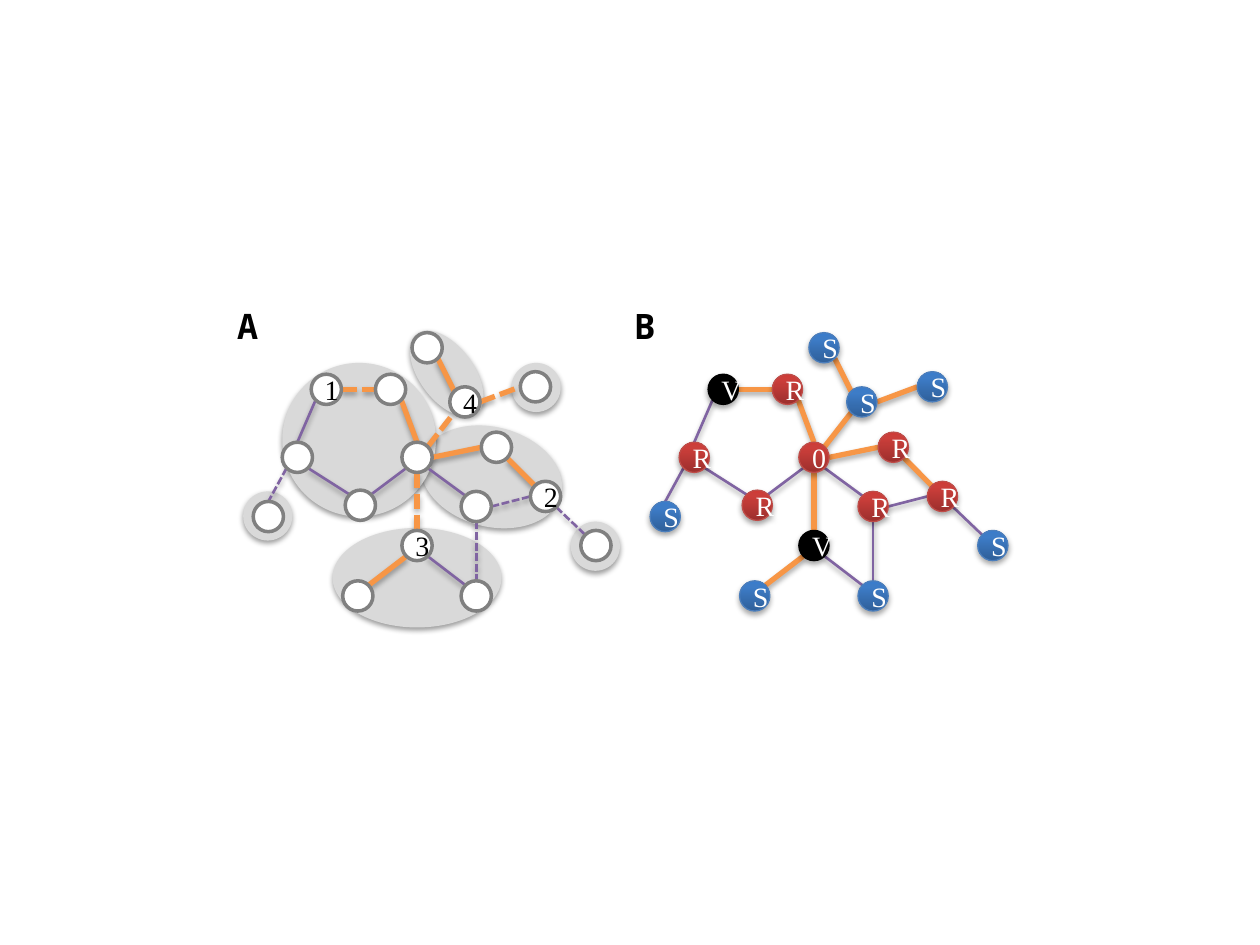
"""Builds a slide with a molecule-like graph shown as fragments (A) and as typed nodes (B)."""
from copy import deepcopy

from pptx import Presentation
from pptx.dml.color import RGBColor
from pptx.enum.dml import MSO_LINE
from pptx.enum.shapes import MSO_CONNECTOR, MSO_SHAPE
from pptx.enum.text import MSO_ANCHOR, MSO_AUTO_SIZE, PP_ALIGN
from pptx.oxml import parse_xml
from pptx.oxml.ns import nsdecls, qn
from pptx.util import Inches, Pt

COLORS = {
    "white": "FFFFFF", "black": "000000", "halo": "D9D9D9", "ring": "808080",
    "orange": "F79646", "purple": "8064A2", "blue": "4B7EBC", "red": "BF4C48",
    "blue low": "2F5F99", "blue mid": "3D7CC7", "blue high": "3A7CCB",
    "red low": "9C2F2D", "red mid": "CB3E3A", "red high": "CE3B37",
}
CELL = Inches(0.01)
RADIUS = 12
DIAGONAL = RADIUS * 0.71
PANEL_SHIFT = 315
COMPASS = {
    "N": (0, -RADIUS), "S": (0, RADIUS), "E": (RADIUS, 0), "W": (-RADIUS, 0),
    "NE": (DIAGONAL, -DIAGONAL), "NW": (-DIAGONAL, -DIAGONAL),
    "SE": (DIAGONAL, DIAGONAL), "SW": (-DIAGONAL, DIAGONAL),
}
TYPE_FILLS = {"S": "blue", "R": "red", "0": "red", "V": "black"}

HALOS = [
    (406, 288, 39, 39, 0), (315, 275, 79, 43, 53.3), (453, 414, 39, 39, 0),
    (193, 390, 39, 39, 0), (264, 419, 134, 79, 0), (333, 339, 114, 79, 14.6),
    (224, 288, 122, 122, 0),
]
NODES = {
    "branch end": (425, 307, "", "S"), "ring bottom": (286, 401, "", "R"),
    "branch top": (339, 276, "", "S"), "branch": (369, 319, "4", "S"),
    "left leaf": (213, 410, "", "S"), "ring left": (236, 363, "", "R"),
    "ring top": (259, 309, "1", "V"), "stem right": (378, 473, "", "S"),
    "stem": (331, 433, "3", "V"), "loop far": (433, 394, "2", "R"),
    "loop low": (378, 402, "", "R"), "loop high": (394, 355, "", "R"),
    "right leaf": (473, 433, "", "S"), "centre": (331, 363, "", "0"),
    "stem left": (284, 473, "", "S"), "ring right": (310, 309, "", "R"),
}
EDGES = [
    ("branch", "NW", "branch top", "SE", "orange", False),
    ("ring top", "E", "ring right", "W", "orange", True),
    ("centre", "E", "loop high", "W", "orange", False),
    ("loop high", "SE", "loop far", "NW", "orange", False),
    ("centre", "S", "stem", "N", "orange", True),
    ("stem", "SW", "stem left", "NE", "orange", False),
    ("centre", "NE", "branch", "SW", "orange", True),
    ("branch", "E", "branch end", "W", "orange", True),
    ("loop low", "E", "loop far", "W", "purple", True),
    ("centre", "SE", "loop low", "NW", "purple", False),
    ("loop low", "S", "stem right", "N", "purple", True),
    ("stem", "SE", "stem right", "NW", "purple", False),
    ("ring top", "SW", "ring left", "N", "purple", False),
    ("ring left", "SE", "ring bottom", "NW", "purple", False),
    ("ring left", "SW", "left leaf", "N", "purple", True),
    ("loop far", "SE", "right leaf", "NW", "purple", True),
    ("ring bottom", "NE", "centre", "SW", "purple", False),
    ("ring right", "SE", "centre", "N", "orange", False),
]


class GraphSlide:
    """Holds the style and the current slide."""

    def __init__(self, slide):
        self.shapes = slide.shapes

    def color(self, name):
        return RGBColor.from_string(COLORS[name])

    def cells(self, *lengths):
        return [int(length * CELL) for length in lengths]

    def shade(self, item, distance=23000, alpha=35000):
        item._element.spPr.append(parse_xml(
            f'<a:effectLst {nsdecls("a")}><a:outerShdw blurRad="40000" dist="{distance}" '
            f'dir="5400000" rotWithShape="0"><a:srgbClr val="000000">'
            f'<a:alpha val="{alpha}"/></a:srgbClr></a:outerShdw></a:effectLst>'))

    def ellipse(self, left, top, width, height, fill):
        shape = self.shapes.add_shape(
            MSO_SHAPE.OVAL, *self.cells(left, top, width, height))
        if f"{fill} low" in COLORS:
            self.gradient(shape, fill)
        else:
            shape.fill.solid()
            shape.fill.fore_color.rgb = self.color(fill)
        return shape

    def gradient(self, shape, fill):
        shape.fill.gradient()
        shape.fill.gradient_angle = 90
        stop_list = shape._element.spPr.find(".//" + qn("a:gsLst"))
        stop_list.append(deepcopy(stop_list[-1]))
        levels = (("low", 0), ("mid", 0.8), ("high", 1))
        for stop, (level, position) in zip(shape.fill.gradient_stops, levels):
            stop.position = position
            stop.color.rgb = self.color(f"{fill} {level}")

    def halo(self, left, top, width, height, angle):
        shape = self.ellipse(left, top, width, height, "halo")
        shape.rotation = angle
        shape.line.fill.background()
        self.shade(shape, 20000, 38000)

    def edge(self, start, end, color, dashed):
        line = self.shapes.add_connector(
            MSO_CONNECTOR.STRAIGHT, *self.cells(*start, *end))
        line.line.color.rgb = self.color(color)
        line.line.width = Pt(3 if color == "orange" else 1.5)
        if dashed:
            line.line.dash_style = MSO_LINE.SQUARE_DOT
        self.shade(line)

    def node(self, x, y, text, fill, outline, weight, ink, shaded):
        shape = self.ellipse(
            x - RADIUS, y - RADIUS, 2 * RADIUS, 2 * RADIUS, fill)
        shape.line.color.rgb = self.color(outline)
        shape.line.width = Pt(weight)
        if shaded:
            self.shade(shape)
        else:
            shape.shadow.inherit = False
        if text:
            shape.text_frame.vertical_anchor = MSO_ANCHOR.MIDDLE
            self.letter(shape, text, "Times New Roman", 16, ink)

    def label(self, left, top, text):
        box = self.shapes.add_textbox(*self.cells(left, top, 39, 44))
        box.text_frame.word_wrap = False
        box.text_frame.auto_size = MSO_AUTO_SIZE.SHAPE_TO_FIT_TEXT
        self.letter(box, text, "Noto Sans Mono", 20, "black", True)

    def letter(self, shape, text, font, size, ink, bold=False):
        shape.text_frame.text = text
        para = shape.text_frame.paragraphs[0]
        para.alignment = PP_ALIGN.CENTER
        span = para.runs[0]
        span.font.name = font
        span.font.size = Pt(size)
        span.font.bold = bold
        span.font.color.rgb = self.color(ink)

    def panel(self, title, shift, typed):
        def site(name, direction):
            x, y = NODES[name][:2]
            dx, dy = COMPASS[direction]
            return x + dx + shift, y + dy

        for start, leave, end, arrive, color, dashed in EDGES:
            self.edge(site(start, leave), site(end, arrive),
                      color, dashed and not typed)
        for x, y, number, kind in NODES.values():
            if typed:
                fill = TYPE_FILLS[kind]
                self.node(x + shift, y, kind, fill, fill, 0.75, "white", True)
            else:
                self.node(x + shift, y, number, "white", "ring", 2, "black", False)
        self.label(177 + shift, 237, title)


deck = Presentation()
deck.slide_width, deck.slide_height = Inches(10), Inches(7.5)
page = GraphSlide(deck.slides.add_slide(deck.slide_layouts[6]))
for halo in HALOS:
    page.halo(*halo)
page.panel("A", 0, False)
page.panel("B", PANEL_SHIFT, True)
deck.save("out.pptx")
